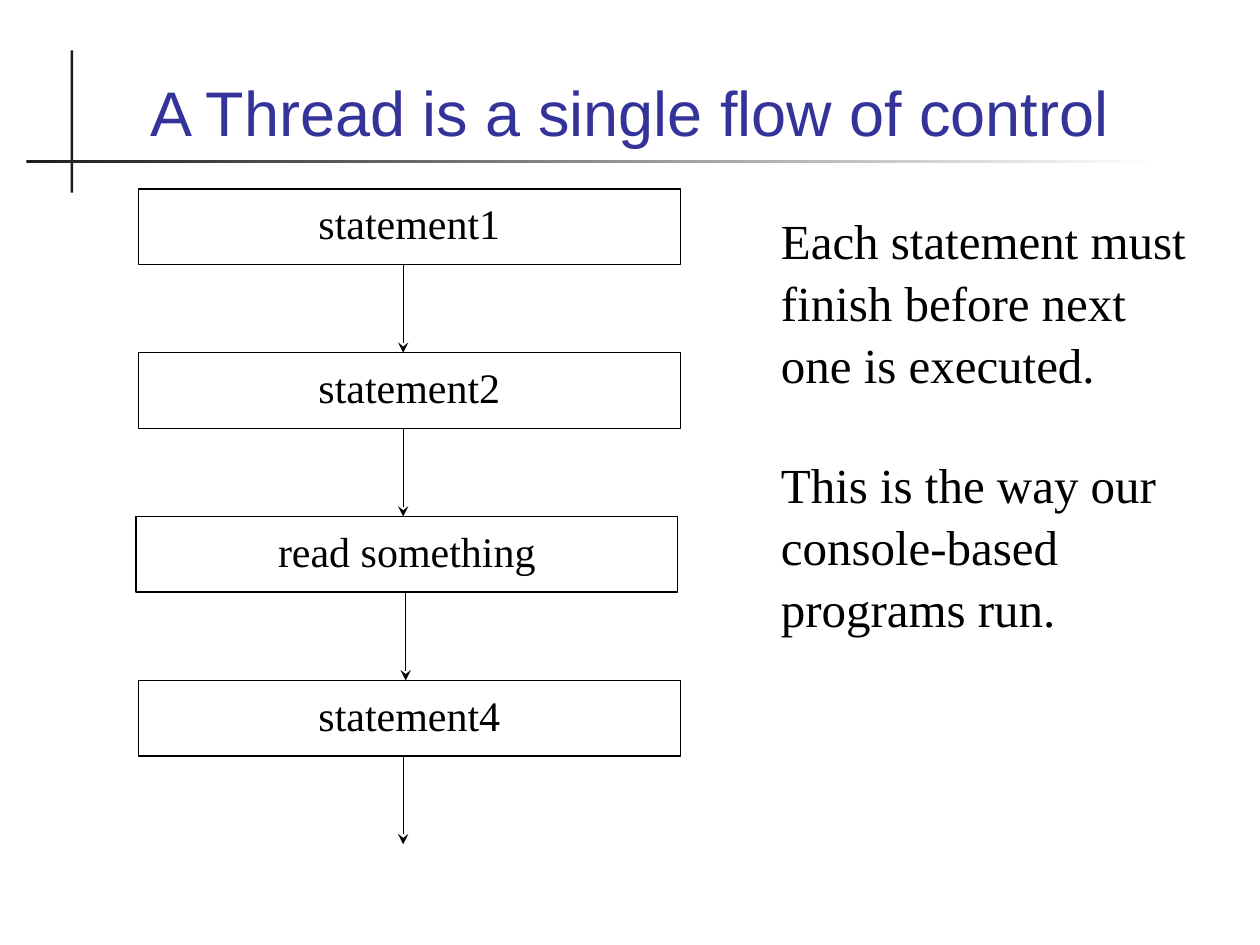
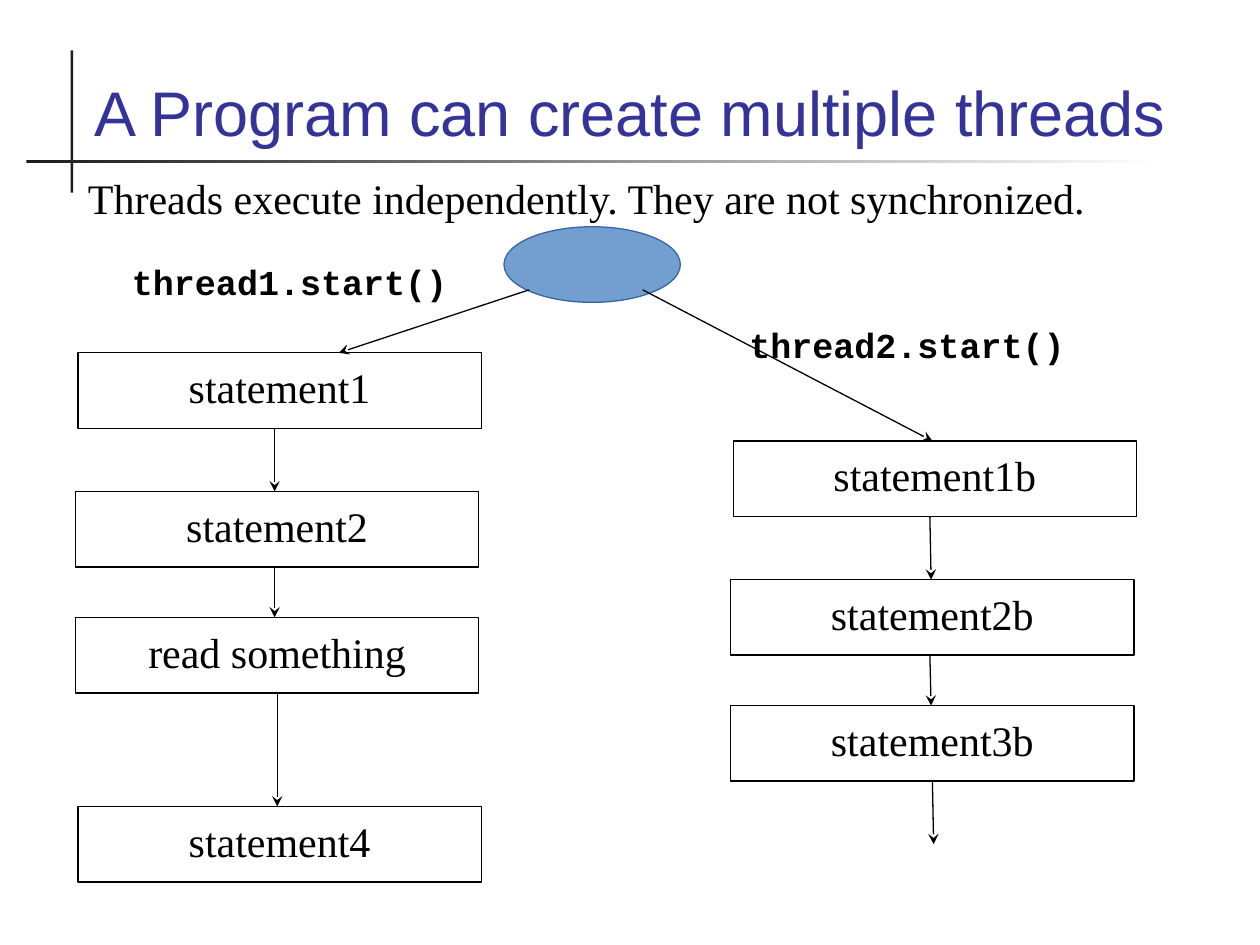
"""Builds two slides that compare one thread with several threads."""
from lxml import etree
from pptx import Presentation
from pptx.dml.color import RGBColor
from pptx.enum import shapes, text
from pptx.oxml.ns import qn
from pptx.util import Inches, Pt

BLACK, DARK, WHITE, TITLE_BLUE = "000000", "1C1C1C", "FFFFFF", "333399"
OVAL_FILL, OVAL_LINE = "729FCF", "3465A4"
BOX_HEIGHT = 0.6
FLOW_END = 6.7
LINE_WIDTH = 0.75

LEFT, CENTER = text.PP_ALIGN.LEFT, text.PP_ALIGN.CENTER
TITLE = {"name": "Arial", "size": Pt(36), "color": TITLE_BLUE}
BODY = {"name": "Times New Roman", "size": Pt(28), "color": BLACK}
BOX = {**BODY, "size": Pt(24)}
CODE = {"name": "Courier New", "size": Pt(20), "bold": True, "color": BLACK}

SLIDES = [
    {
        "title": ("A Thread is a single flow of control", (0.67, 0.28, 8.66, 0.95)),
        "flows": [
            {
                "width": 4.3,
                "boxes": [("statement1", 1.1, 1.5), ("statement2", 1.1, 2.8),
                          ("read something", 1.08, 4.1), ("statement4", 1.1, 5.4)],
                "arrows": [(3.2, 3.2), (3.2, 3.2), (3.22, 3.22), (3.2, 3.2)],
            },
        ],
        "texts": [
            (["Each statement must finish before next one is executed.",
              "This is the way our console-based programs run."],
             (6.1, 1.6, 3.5, 5.3), BODY, LEFT),
        ],
    },
    {
        "title": ("A Program can create multiple threads", (0.3, 0.28, 9.4, 0.95)),
        "oval": (4, 1.8, 1.4, 0.6),
        "flows": [
            {
                "width": 3.2,
                "boxes": [("statement1", 0.62, 2.8), ("statement2", 0.6, 3.9),
                          ("read something", 0.6, 4.9), ("statement4", 0.62, 6.4)],
                "arrows": [(2.18, 2.18), (2.18, 2.18), (2.2, 2.2)],
                "start": ((4.2, 2.3), 2.69),
            },
            {
                "width": 3.2,
                "boxes": [("statement1b", 5.82, 3.5), ("statement2b", 5.8, 4.6),
                          ("statement3b", 5.8, 5.6)],
                "arrows": [(7.38, 7.39), (7.38, 7.39), (7.4, 7.41)],
                "start": ((5.1, 2.3), 7.4),
            },
        ],
        "texts": [
            (["Threads execute independently. They are not synchronized."],
             (0.6, 1.3, 9, 0.7), BOX, LEFT),
            (["thread1.start()"], (0.6, 2, 3.4, 0.5), CODE, CENTER),
            (["thread2.start()"], (5.5, 2.5, 3.4, 0.5), CODE, CENTER),
        ],
    },
]


def rgb(value):
    return RGBColor.from_string(value)


def inches(values):
    return [Inches(value) for value in values]


def write(shape, lines, style, alignment, anchor=text.MSO_ANCHOR.TOP, spacing=1.05):
    frame = shape.text_frame
    frame.word_wrap = True
    frame.vertical_anchor = anchor
    for index, line in enumerate(lines):
        paragraph = frame.add_paragraph() if index else frame.paragraphs[0]
        paragraph.text = line
        paragraph.alignment = alignment
        paragraph.line_spacing = spacing
        if index:
            paragraph.space_before = Pt(style["size"].pt * 1.2)
        for name, value in style.items():
            if name == "color":
                paragraph.font.color.rgb = rgb(value)
            else:
                setattr(paragraph.font, name, value)


def add_text(slide, lines, place, style, alignment, **options):
    write(slide.shapes.add_textbox(*inches(place)), lines, style, alignment, **options)


def add_shape(slide, kind, place, fill=None, line=None):
    shape = slide.shapes.add_shape(kind, *inches(place))
    shape.shadow.inherit = False
    if fill:
        shape.fill.solid()
        shape.fill.fore_color.rgb = rgb(fill)
    else:
        shape.fill.background()
    if line:
        shape.line.color.rgb = rgb(line)
        shape.line.width = Pt(LINE_WIDTH)
    else:
        shape.line.fill.background()
    return shape


def add_arrow(slide, start, end):
    arrow = slide.shapes.add_connector(
        shapes.MSO_CONNECTOR.STRAIGHT, *inches(start + end))
    arrow.line.color.rgb = rgb(BLACK)
    arrow.line.width = Pt(LINE_WIDTH)
    etree.SubElement(arrow.line._get_or_add_ln(), qn("a:tailEnd"), type="stealth")
    etree.SubElement(arrow._element.spPr, qn("a:effectLst"))
    return arrow


def is_middle(box, x):
    return abs(box.left + box.width / 2 - Inches(x)) < Inches(0.005)


def add_frame(slide, title, place):
    rectangle = shapes.MSO_SHAPE.RECTANGLE
    add_shape(slide, rectangle, (0.56, 0.4, 0.02, 1.13), DARK)
    rule = add_shape(slide, rectangle, (0.21, 1.27, 8.98, 0.02))
    rule.fill.gradient()
    rule.fill.gradient_angle = 0
    for stop, color in zip(rule.fill.gradient_stops, (DARK, WHITE)):
        stop.color.rgb = rgb(color)
    add_text(slide, [title], place, TITLE, CENTER,
             anchor=text.MSO_ANCHOR.BOTTOM, spacing=1.0)


def add_flow(slide, flow):
    boxes = []
    for label, left, top in flow["boxes"]:
        place = (left, top, flow["width"], BOX_HEIGHT)
        box = add_shape(slide, shapes.MSO_SHAPE.RECTANGLE, place, line=BLACK)
        write(box, [label], BOX, CENTER)
        boxes.append(box)
    tops = [top for _, _, top in flow["boxes"]]
    ends = tops[1:] + [FLOW_END]
    targets = boxes[1:] + [None]
    for (x1, x2), top, end, source, target in zip(
            flow["arrows"], tops, ends, boxes, targets):
        arrow = add_arrow(slide, (x1, top + BOX_HEIGHT), (x2, end))
        if is_middle(source, x1):
            arrow.begin_connect(source, 2)
        if target and is_middle(target, x2):
            arrow.end_connect(target, 0)
    if "start" in flow:
        start, x = flow["start"]
        add_arrow(slide, start, (x, tops[0]))


def main():
    presentation = Presentation()
    presentation.slide_width, presentation.slide_height = inches((10, 7.5))
    for content in SLIDES:
        slide = presentation.slides.add_slide(presentation.slide_layouts[6])
        add_frame(slide, *content["title"])
        if "oval" in content:
            add_shape(slide, shapes.MSO_SHAPE.OVAL, content["oval"],
                      OVAL_FILL, OVAL_LINE)
        for flow in content["flows"]:
            add_flow(slide, flow)
        for item in content["texts"]:
            add_text(slide, *item)
    presentation.save("out.pptx")


if __name__ == "__main__":
    main()
